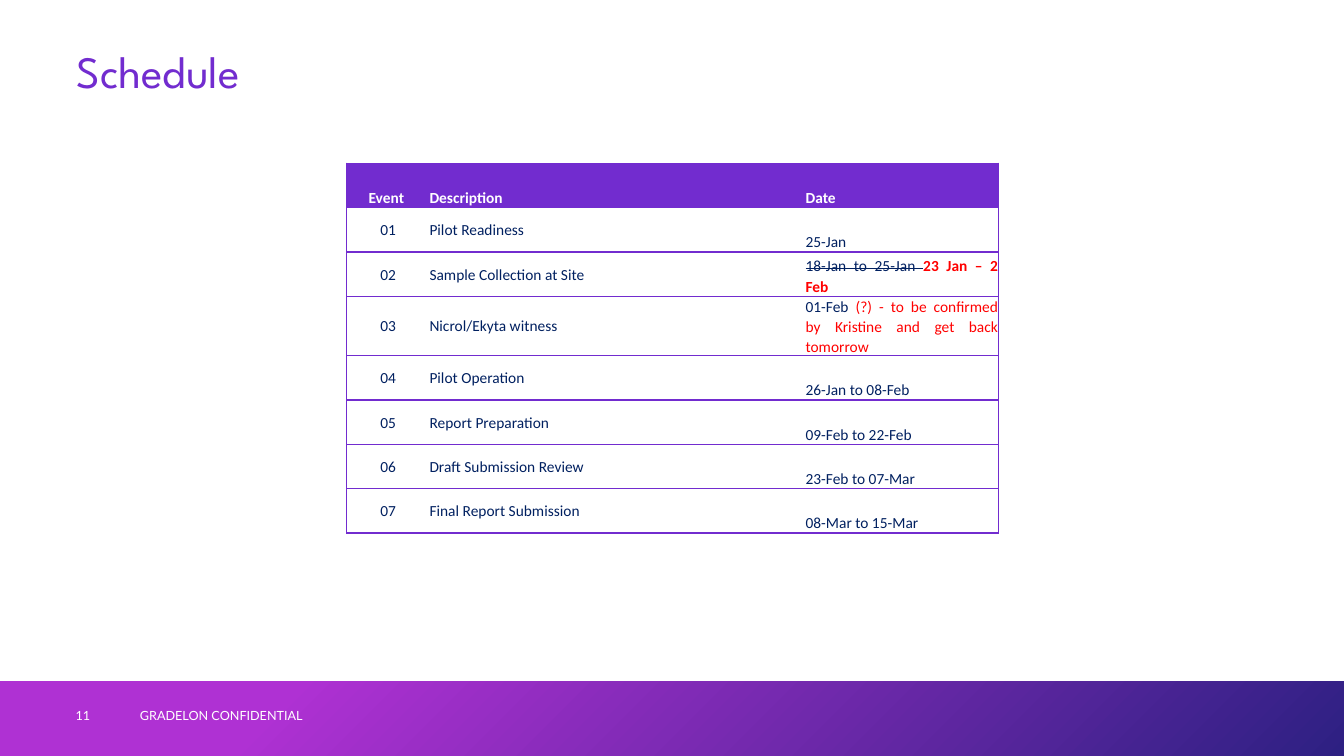
from dataclasses import dataclass

from lxml import etree
from pptx import Presentation
from pptx.dml.color import RGBColor
from pptx.enum.shapes import MSO_SHAPE
from pptx.enum.text import MSO_ANCHOR, PP_ALIGN
from pptx.oxml.ns import qn
from pptx.slide import Slide
from pptx.table import _Cell
from pptx.text.text import TextFrame, _Run
from pptx.util import Inches, Pt

RECTANGLE = MSO_SHAPE.RECTANGLE
MIDDLE, BOTTOM = MSO_ANCHOR.MIDDLE, MSO_ANCHOR.BOTTOM
LEFT, CENTER, JUSTIFY = PP_ALIGN.LEFT, PP_ALIGN.CENTER, PP_ALIGN.JUSTIFY
TITLE_ONLY = 5


@dataclass(frozen=True)
class Theme:
    purple: str = "722CCF"
    magenta: str = "AF31D3"
    indigo: str = "2D2082"
    navy: str = "002060"
    red: str = "FF0000"
    white: str = "FFFFFF"
    title_font: str = "League Spartan"
    footer_font: str = "Lato"
    table_font: str = "Calibri"
    title_size: float = 32
    footer_size: float = 9
    table_size: float = 11
    border_width: float = 1


THEME = Theme()


@dataclass(frozen=True)
class Span:
    text: str
    color: str = THEME.navy
    bold: bool = False
    strike: bool = False


@dataclass(frozen=True)
class Event:
    number: str
    description: str
    date: tuple[Span, ...]


@dataclass(frozen=True)
class FooterLabel:
    text: str
    left: float
    width: float
    inset: float


EVENTS = (
    Event("01", "Pilot Readiness", (Span("25-Jan"),)),
    Event("02", "Sample Collection at Site", (
        Span("18-Jan to 25-Jan ", strike=True),
        Span("23 Jan – 2 Feb ", THEME.red, bold=True),
    )),
    Event("03", "Nicrol/Ekyta witness", (
        Span("01-Feb "),
        Span("(?) - to be confirmed by Kristine and get back tomorrow ", THEME.red),
    )),
    Event("04", "Pilot Operation", (Span("26-Jan to 08-Feb"),)),
    Event("05", "Report Preparation", (Span("09-Feb to 22-Feb"),)),
    Event("06", "Draft Submission Review", (Span("23-Feb to 07-Mar"),)),
    Event("07", "Final Report Submission", (Span("08-Mar to 15-Mar"),)),
)
HEADINGS = ("Event ", "Description", "Date")
COLUMN_WIDTHS = (0.82, 3.73, 1.91)
ROW_HEIGHT = 0.44
FOOTER_LABELS = (
    FooterLabel("GRADELON CONFIDENTIAL", 1.29, 4.5, 0.1),
    FooterLabel("11", 0.75, 0.54, 0),
)


def set_all(target: object, values: dict[str, object]) -> None:
    for name, value in values.items():
        setattr(target, name, value)


def format_run(run: _Run, font: str, size: float, color: str, bold: bool = False) -> None:
    set_all(run.font, {"name": font, "size": Pt(size), "bold": bold})
    run.font.color.rgb = RGBColor.from_string(color)


def format_frame(frame: TextFrame, left_inset: float) -> None:
    set_all(frame, {
        "word_wrap": True,
        "vertical_anchor": MIDDLE,
        "margin_left": Inches(left_inset),
        "margin_right": Inches(0.1),
        "margin_top": Inches(0.05),
        "margin_bottom": Inches(0.05),
    })


def add_title(slide: Slide) -> None:
    title = slide.shapes.title
    set_all(title, {"left": Inches(0.76), "top": Inches(0.4),
                    "width": Inches(11.81), "height": Inches(0.67)})
    format_frame(title.text_frame, 0)
    paragraph = title.text_frame.paragraphs[0]
    set_all(paragraph, {"alignment": LEFT, "line_spacing": 0.9})
    run = paragraph.add_run()
    run.text = "Schedule"
    format_run(run, THEME.title_font, THEME.title_size, THEME.purple)


def add_footer(slide: Slide) -> None:
    band = slide.shapes.add_shape(
        RECTANGLE, 0, Inches(6.76), Inches(13.33), Inches(0.74))
    band.shadow.inherit = False
    band.line.fill.background()
    band.fill.gradient()
    band.fill.gradient_angle = 315
    stops = ((0.21, THEME.magenta), (1, THEME.indigo))
    for stop, (position, color) in zip(band.fill.gradient_stops, stops):
        stop.position = position
        stop.color.rgb = RGBColor.from_string(color)
    for label in FOOTER_LABELS:
        box = slide.shapes.add_textbox(
            Inches(label.left), Inches(6.9), Inches(label.width), Inches(0.4))
        format_frame(box.text_frame, label.inset)
        run = box.text_frame.paragraphs[0].add_run()
        run.text = label.text
        format_run(run, THEME.footer_font, THEME.footer_size, THEME.white)


def set_borders(cell: _Cell, visible: str) -> None:
    """Rule the sides named in visible (L, R, T, B) and clear the others."""
    properties = cell._tc.get_or_add_tcPr()
    for side in "LRTB":
        line = etree.SubElement(properties, qn(f"a:ln{side}"))
        if side in visible:
            line.set("w", str(Pt(THEME.border_width)))
            fill = etree.SubElement(line, qn("a:solidFill"))
            etree.SubElement(fill, qn("a:srgbClr")).set("val", THEME.purple)
        else:
            line.set("w", "0")
            etree.SubElement(line, qn("a:noFill"))


def fill_cell(cell: _Cell, spans: tuple[Span, ...], column: int, header: bool) -> None:
    set_borders(cell, ("LTB", "TB", "RTB")[column])
    if header:
        cell.fill.solid()
        cell.fill.fore_color.rgb = RGBColor.from_string(THEME.purple)
    else:
        cell.fill.background()
    set_all(cell, {
        "margin_left": 0, "margin_right": 0, "margin_top": 0, "margin_bottom": 0,
        "vertical_anchor": BOTTOM if header or column == 2 else MIDDLE,
    })
    paragraph = cell.text_frame.paragraphs[0]
    set_all(paragraph, {
        "alignment": CENTER if column == 0 else JUSTIFY,
        "line_spacing": 1.07,
        "space_after": Pt(8),
    })
    for span in spans:
        run = paragraph.add_run()
        run.text = span.text
        format_run(run, THEME.table_font, THEME.table_size, span.color, span.bold)
        if span.strike:
            run._r.get_or_add_rPr().set("strike", "sngStrike")


def add_schedule(slide: Slide) -> None:
    rows = [tuple((Span(heading, THEME.white, bold=True),) for heading in HEADINGS)]
    rows += [((Span(event.number),), (Span(event.description),), event.date)
             for event in EVENTS]
    table = slide.shapes.add_table(
        len(rows), len(HEADINGS), Inches(3.44), Inches(1.62),
        Inches(sum(COLUMN_WIDTHS)), Inches(ROW_HEIGHT * len(rows))).table
    set_all(table, {"first_row": False, "horz_banding": False})
    for column, width in zip(table.columns, COLUMN_WIDTHS):
        column.width = Inches(width)
    for row_index, row in enumerate(rows):
        table.rows[row_index].height = Inches(ROW_HEIGHT)
        for column_index, spans in enumerate(row):
            fill_cell(table.cell(row_index, column_index), spans,
                      column_index, header=row_index == 0)


def main() -> None:
    presentation = Presentation()
    set_all(presentation, {"slide_width": Inches(13.33), "slide_height": Inches(7.5)})
    slide = presentation.slides.add_slide(presentation.slide_layouts[TITLE_ONLY])
    add_title(slide)
    add_footer(slide)
    add_schedule(slide)
    presentation.save("out.pptx")


if __name__ == "__main__":
    main()
